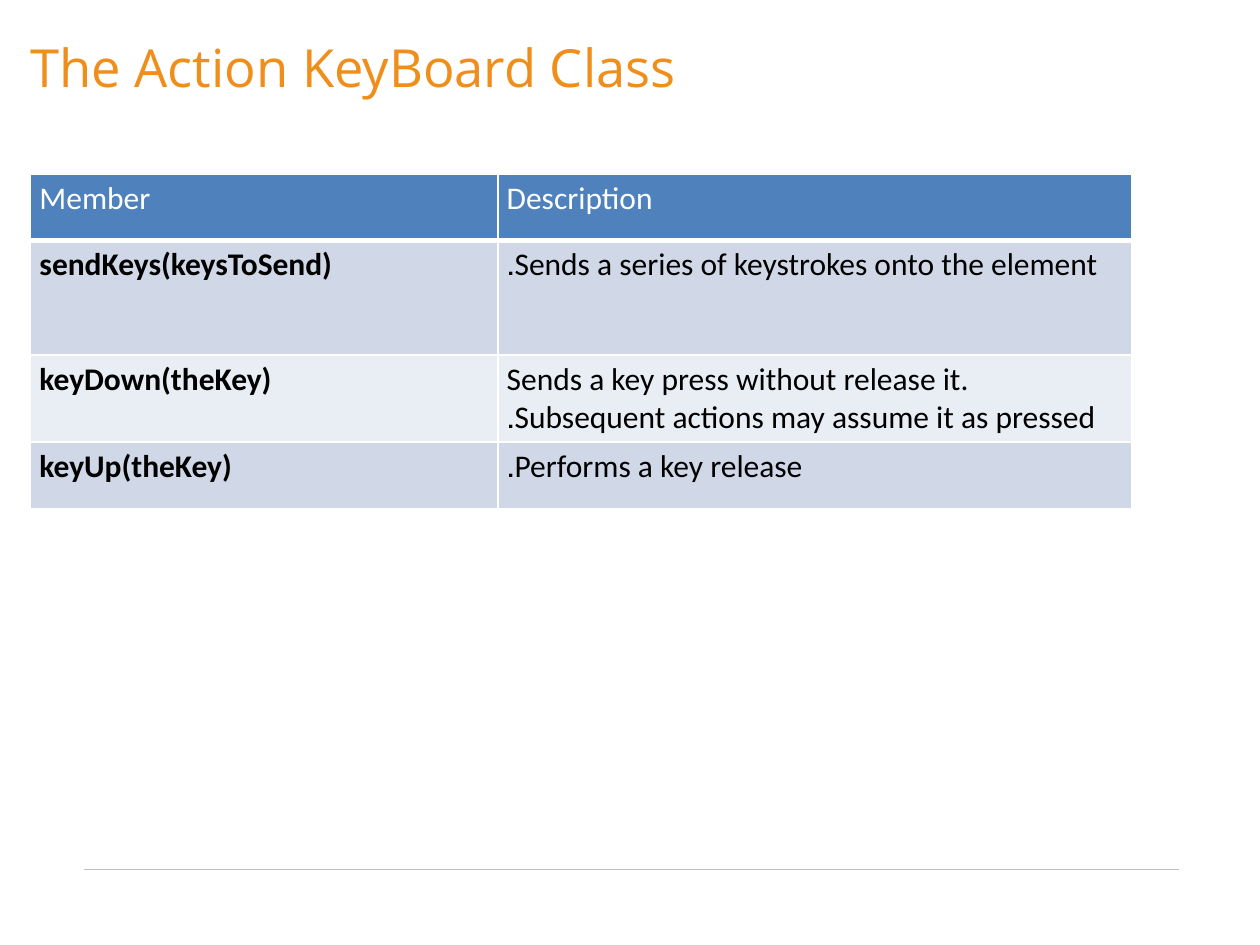
from lxml import etree
from pptx import Presentation
from pptx.dml.color import RGBColor
from pptx.enum.shapes import MSO_CONNECTOR
from pptx.enum.text import MSO_ANCHOR, MSO_AUTO_SIZE, PP_ALIGN
from pptx.oxml.ns import qn
from pptx.util import Pt

LINE = MSO_CONNECTOR.STRAIGHT
MIDDLE = MSO_ANCHOR.MIDDLE
FIXED = MSO_AUTO_SIZE.NONE
LEFT = PP_ALIGN.LEFT

COLS = (267, 362)
HEIGHTS = (38, 65.5, 38, 38)
FILLS = ("4F81BD", "D0D8E8", "E9EDF4", "D0D8E8")
ROWS = (
    ("Member", "Description"),
    ("sendKeys(keysToSend)", "Sends a series of keystrokes onto the element."),
    ("keyDown(theKey)", "Sends a key press without release it. "
     "Subsequent actions may assume it as pressed."),
    ("keyUp(theKey)", "Performs a key release."),
)


def paint(fmt, color):
    """Give a font colour or a solid fill its hex colour."""
    if hasattr(fmt, "solid"):
        fmt.solid()
        fmt = fmt.fore_color
    fmt.rgb = RGBColor.from_string(color)


def set_font(para, name, size, color, bold=False):
    """Format a left-aligned paragraph."""
    para.alignment = LEFT
    para.font.name = name
    para.font.size = Pt(size)
    para.font.bold = bold
    paint(para.font.fill, color)


def add_title(slide, text):
    """Place and format the title."""
    title = slide.shapes.title
    title.left, title.top = Pt(17.5), Pt(0)
    title.width, title.height = Pt(629), Pt(80)
    frame = title.text_frame
    frame.text = text
    frame.auto_size = FIXED
    frame.word_wrap = True
    frame.vertical_anchor = MIDDLE
    frame.margin_left = frame.margin_top = Pt(0)
    frame.margin_right, frame.margin_bottom = Pt(7.2), Pt(3.6)
    set_font(frame.paragraphs[0], "Open Sans", 30, "F08E1B")


def add_rule(slide, left, right, y):
    """Draw the thin footer rule."""
    rule = slide.shapes.add_connector(LINE, Pt(left), Pt(y), Pt(right), Pt(y))
    rule.line.width = Pt(0.75)
    paint(rule.line.fill, "BFBFBF")
    etree.SubElement(rule._element.spPr, qn("a:effectLst"))


def add_edges(cell, base):
    """Outline a cell in white."""
    props = cell._tc.get_or_add_tcPr()
    for side, width in (("L", 1), ("R", 1), ("T", 1), ("B", base)):
        edge = etree.SubElement(props, qn("a:ln" + side), w=str(Pt(width)))
        fill = etree.SubElement(edge, qn("a:solidFill"))
        etree.SubElement(fill, qn("a:srgbClr"), val="FFFFFF")


def fill_cell(cell, text, row, col):
    """Write and format one table cell."""
    head = row == 0
    cell.margin_left = cell.margin_right = Pt(5.1)
    cell.margin_top = cell.margin_bottom = Pt(2.9)
    add_edges(cell, 3 if head else 1)
    paint(cell.fill, FILLS[row])
    cell.text = text
    para = cell.text_frame.paragraphs[0]
    set_font(para, "Calibri", 18, "FFFFFF" if head else "000000",
             not head and col == 0)
    if not head:
        para._p.get_or_add_pPr().set("rtl", str(col))


def add_grid(slide, left, top):
    """Build the table of members."""
    table = slide.shapes.add_table(len(ROWS), len(COLS), Pt(left), Pt(top),
                                   Pt(sum(COLS)), Pt(sum(HEIGHTS))).table
    for col, width in enumerate(COLS):
        table.columns[col].width = Pt(width)
    for row, texts in enumerate(ROWS):
        table.rows[row].height = Pt(HEIGHTS[row])
        for col, text in enumerate(texts):
            fill_cell(table.cell(row, col), text, row, col)


def main():
    """Build and save the slide."""
    deck = Presentation()
    deck.slide_width, deck.slide_height = Pt(720), Pt(540)
    slide = deck.slides.add_slide(deck.slide_layouts[5])
    add_rule(slide, 48, 674, 496.8)
    add_title(slide, "The Action KeyBoard Class")
    add_grid(slide, 17.5, 99.4)
    deck.save("out.pptx")


main()
